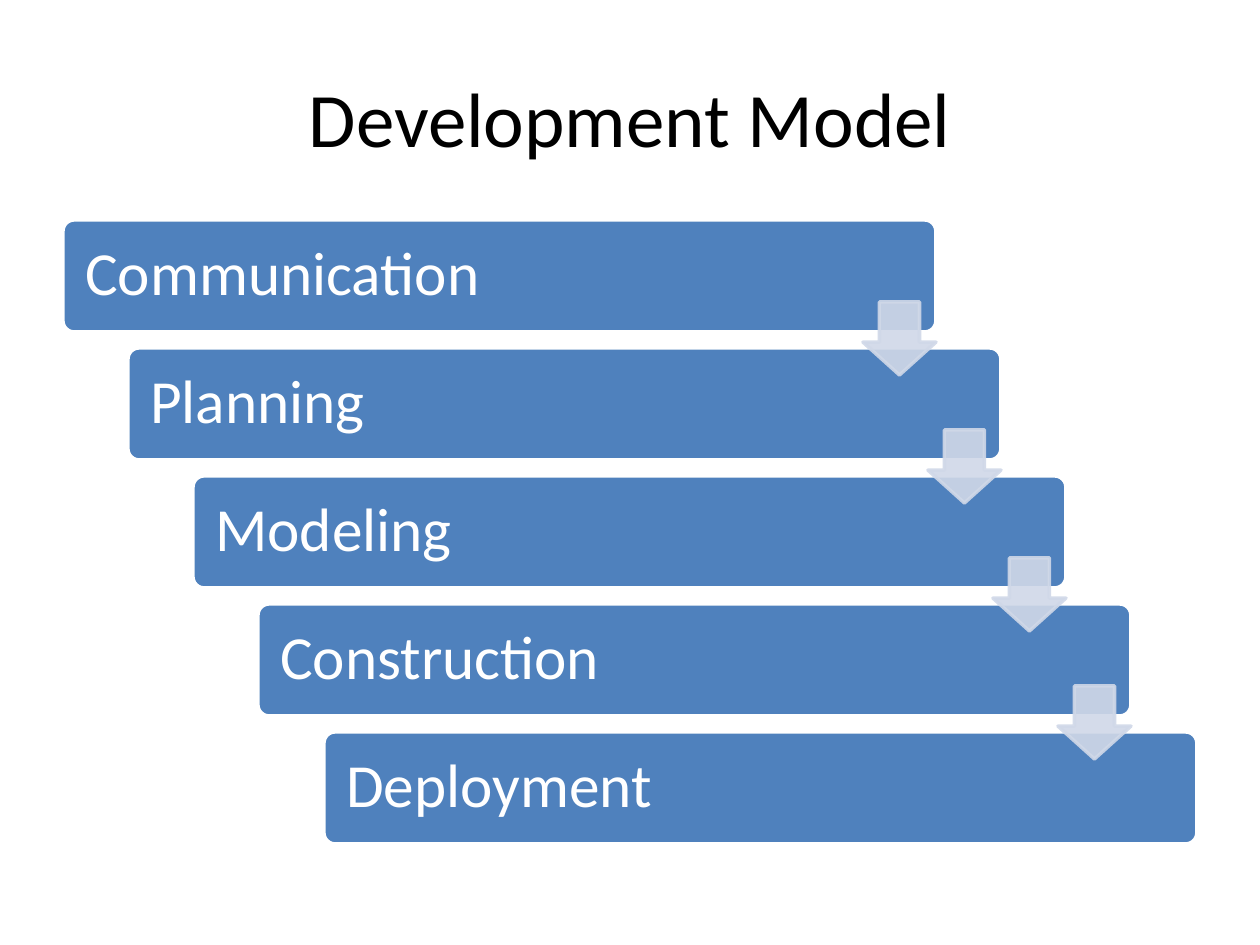
from dataclasses import dataclass

from lxml import etree
from pptx import Presentation
from pptx import util as u
from pptx.dml.color import RGBColor
from pptx.enum import shapes, text
from pptx.oxml import ns


@dataclass(frozen=True)
class Theme:
    font: str = "Calibri"
    title_size: int = 44
    step_size: int = 35
    line_width: int = 2
    ink: str = "000000"
    paper: str = "FFFFFF"
    bar: str = "4F81BD"
    arrow: str = "D0D8E8"
    arrow_opacity: int = 90


theme = Theme()
SCALE = u.Inches(1) // 126


def write_text(shape, content, size, color, align, inset, spacing=1.0):
    frame = shape.text_frame
    frame.word_wrap = True
    frame.auto_size = text.MSO_AUTO_SIZE.NONE
    frame.vertical_anchor = text.MSO_ANCHOR.MIDDLE
    frame.margin_left = frame.margin_right = inset * SCALE
    frame.margin_top = frame.margin_bottom = inset * SCALE
    paragraph = frame.paragraphs[0]
    paragraph.alignment = align
    paragraph.line_spacing = spacing
    run = paragraph.add_run()
    run.text = content
    run.font.name = theme.font
    run.font.size = u.Pt(size)
    run.font.color.rgb = RGBColor.from_string(color)


def add_block(kind, box, adjustments, fill, line, opacity=100):
    shape = slide.shapes.add_shape(kind, *(value * SCALE for value in box))
    shape.shadow.inherit = False
    for index, value in enumerate(adjustments):
        shape.adjustments[index] = value
    shape.fill.solid()
    shape.fill.fore_color.rgb = RGBColor.from_string(fill)
    shape.line.color.rgb = RGBColor.from_string(line)
    shape.line.width = u.Pt(theme.line_width)
    if opacity < 100:
        for color in shape.element.spPr.iter(ns.qn("a:srgbClr")):
            etree.SubElement(color, ns.qn("a:alpha"), val=str(opacity * 1000))
    return shape


presentation = Presentation()
presentation.slide_width = 1260 * SCALE
presentation.slide_height = 945 * SCALE
slide = presentation.slides.add_slide(presentation.slide_layouts[5])

title = slide.shapes.title
title.left, title.top = 63 * SCALE, 38 * SCALE
title.width, title.height = 1134 * SCALE, 157 * SCALE
write_text(title, "Development Model", theme.title_size, theme.ink,
           text.PP_ALIGN.CENTER, inset=6)

steps = ["Communication", "Planning", "Modeling", "Construction", "Deployment"]
LEFT, TOP, RIGHT = 63, 220, 1197
BAR_WIDTH, BAR_HEIGHT, ROW_STEP = 873, 112, 128
ARROW_SIZE, ARROW_OFFSET = 73, 82
gaps = len(steps) - 1
stair = [(LEFT + (RIGHT - LEFT - BAR_WIDTH) * index // gaps, TOP + ROW_STEP * index)
         for index in range(len(steps))]

for step, (left, top) in zip(steps, stair):
    bar = add_block(shapes.MSO_SHAPE.ROUNDED_RECTANGLE,
                    (left, top, BAR_WIDTH, BAR_HEIGHT), [0.1], theme.bar, theme.paper)
    write_text(bar, step, theme.step_size, theme.paper,
               text.PP_ALIGN.LEFT, inset=19, spacing=0.9)

for left, top in stair[:-1]:
    add_block(shapes.MSO_SHAPE.DOWN_ARROW,
              (left + BAR_WIDTH - ARROW_SIZE, top + ARROW_OFFSET, ARROW_SIZE, ARROW_SIZE),
              [0.55, 0.45], theme.arrow, theme.arrow, theme.arrow_opacity)

presentation.save("out.pptx")
